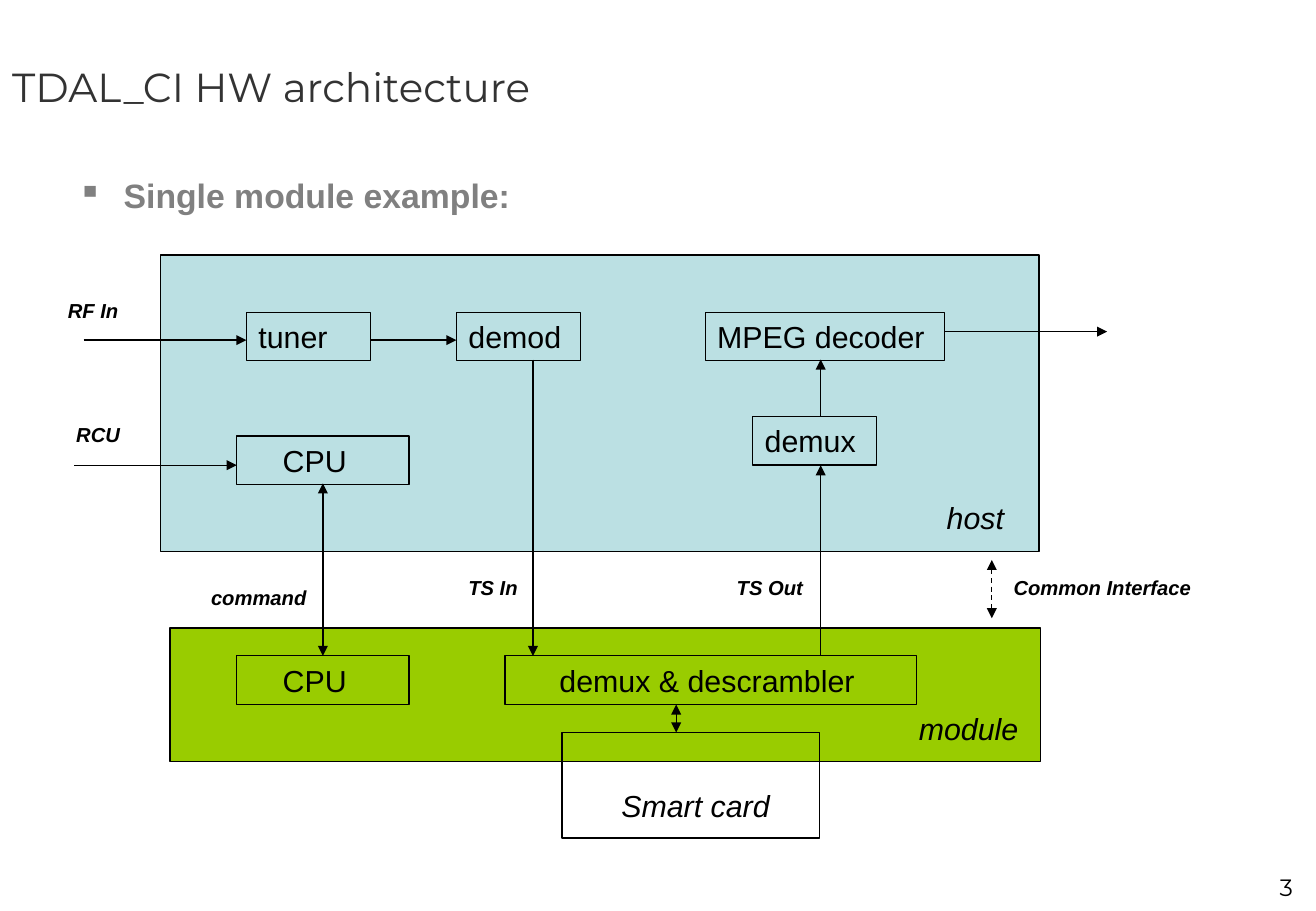
from dataclasses import dataclass

from pptx import Presentation
from pptx.dml.color import RGBColor
from pptx.enum.dml import MSO_LINE
from pptx.enum.shapes import MSO_CONNECTOR, MSO_SHAPE
from pptx.enum.text import MSO_ANCHOR, MSO_AUTO_SIZE, PP_ALIGN
from pptx.oxml.ns import qn
from pptx.util import Inches, Pt
from lxml import etree

RECT = MSO_SHAPE.RECTANGLE
STRAIGHT = MSO_CONNECTOR.STRAIGHT
DASH = MSO_LINE.DASH
LEFT, RIGHT = PP_ALIGN.LEFT, PP_ALIGN.RIGHT
TOP, MIDDLE = MSO_ANCHOR.TOP, MSO_ANCHOR.MIDDLE
NO_FIT = MSO_AUTO_SIZE.NONE


@dataclass(frozen=True)
class Theme:
    ink: str = "000000"
    title: str = "333333"
    heading: str = "808080"
    host: str = "BBE0E3"
    module: str = "99CC00"
    heading_font: str = "Montserrat"
    body_font: str = "Arial"
    title_size: int = 24
    heading_size: int = 20
    block_size: int = 18
    number_size: int = 14
    label_size: int = 12
    line_width: float = 0.75


class Diagram:
    def __init__(self, slide, theme):
        self.s = slide
        self.theme = theme

    def set_text(self, sp, text, size, color=None, font=None, align=LEFT,
                 anchor=TOP, indent=0, **style):
        tf = sp.text_frame
        frame = {"word_wrap": True, "auto_size": NO_FIT, "vertical_anchor": anchor,
                 "margin_left": Inches(0.1), "margin_right": Inches(0.1),
                 "margin_top": Inches(0.05), "margin_bottom": Inches(0.05)}
        for name, value in frame.items():
            setattr(tf, name, value)
        p = tf.paragraphs[0]
        p.alignment = align
        if indent:
            p._p.get_or_add_pPr().set("marL", str(Inches(indent)))
        r = p.add_run()
        r.text = text
        values = {"name": font or self.theme.body_font, "size": Pt(size), **style}
        for name, value in values.items():
            setattr(r.font, name, value)
        r.font.color.rgb = RGBColor.from_string(color or self.theme.ink)
        return p

    def title(self, text, box):
        sp = self.s.shapes.title
        for name, value in zip(("left", "top", "width", "height"), box):
            setattr(sp, name, Inches(value))
        self.set_text(sp, text, self.theme.title_size, self.theme.title,
                      self.theme.heading_font, anchor=MIDDLE)

    def text(self, text, box, size, **style):
        sp = self.s.shapes.add_textbox(*map(Inches, box))
        return self.set_text(sp, text, size, **style)

    def bullet(self, text, box):
        p = self.text(text, box, self.theme.heading_size,
                      color=self.theme.heading, indent=0.38, bold=True)
        pPr = p._p.get_or_add_pPr()
        pPr.set("indent", str(Inches(-0.38)))
        color = etree.SubElement(pPr, qn("a:buClr"))
        etree.SubElement(color, qn("a:srgbClr"), val=self.theme.heading)
        etree.SubElement(pPr, qn("a:buChar"), char="▪")

    def label(self, text, box):
        self.text(text, box, self.theme.label_size, bold=True, italic=True)

    def block(self, box, text=None, fill=None, indent=0):
        sp = self.s.shapes.add_shape(RECT, *map(Inches, box))
        sp.shadow.inherit = False
        if fill:
            sp.fill.solid()
            sp.fill.fore_color.rgb = RGBColor.from_string(fill)
        else:
            sp.fill.background()
        self.outline(sp.line)
        if text:
            self.set_text(sp, text, self.theme.block_size, indent=indent)

    def outline(self, line):
        line.color.rgb = RGBColor.from_string(self.theme.ink)
        line.width = Pt(self.theme.line_width)

    def arrow(self, start, end, both=False, dash=None):
        c = self.s.shapes.add_connector(STRAIGHT, *map(Inches, start + end))
        self.outline(c.line)
        if dash:
            c.line.dash_style = dash
        ln = c._element.spPr.find(qn("a:ln"))
        for tag in ("a:headEnd", "a:tailEnd") if both else ("a:tailEnd",):
            etree.SubElement(ln, qn(tag), type="triangle")
        etree.SubElement(c._element.spPr, qn("a:effectLst"))


def main():
    prs = Presentation()
    prs.slide_width, prs.slide_height = Inches(10.84), Inches(7.5)
    theme = Theme()
    d = Diagram(prs.slides.add_slide(prs.slide_layouts[5]), theme)

    # Title and heading
    d.title("TDAL_CI HW architecture", (0, 0, 10.83, 1.42))
    d.bullet("Single module example:", (0.54, 1.39, 9.75, 0.5))

    # Module and host areas, smart card
    d.block((1.4, 5.17, 7.17, 1.1), fill=theme.module)
    d.block((1.32, 2.1, 7.24, 2.44), fill=theme.host)
    d.block((4.63, 6.03, 2.12, 0.87))

    # Functional blocks: name, left, top, width, text indent
    block_height = 0.4
    for name, x, y, w, indent in (
            ("tuner", 2.03, 2.57, 1.02, 0),
            ("demod", 3.76, 2.57, 1.02, 0),
            ("MPEG decoder", 5.81, 2.57, 1.97, 0),
            ("demux", 6.2, 3.43, 1.02, 0),
            ("CPU", 1.95, 3.59, 1.42, 0.28),
            ("CPU", 1.95, 5.4, 1.42, 0.28),
            ("demux & descrambler", 4.16, 5.4, 3.39, 0.35)):
        d.block((x, y, w, block_height), name, indent=indent)

    # Area names
    for name, x, y, w in (("host", 7.7, 4.06, 0.79),
                          ("module", 7.47, 5.8, 1.02),
                          ("Smart card", 5.02, 6.43, 1.57)):
        d.text(name, (x, y, w, block_height), theme.block_size, italic=True)

    # One-way signals
    for start, end in (((0.69, 2.8), (2.03, 2.8)),
                       ((3.06, 2.8), (3.76, 2.8)),
                       ((4.39, 2.96), (4.39, 5.4)),
                       ((6.76, 5.4), (6.76, 3.83)),
                       ((6.76, 3.43), (6.76, 2.96)),
                       ((7.78, 2.73), (9.12, 2.73)),
                       ((0.61, 3.83), (1.95, 3.83))):
        d.arrow(start, end)

    # Two-way links
    for x, top, bottom, dash in ((2.66, 3.98, 5.4, None),
                                 (5.57, 5.8, 6.03, None),
                                 (8.17, 4.61, 5.09, DASH)):
        d.arrow((x, top), (x, bottom), both=True, dash=dash)

    # Signal labels
    for name, x, y, w in (("RF In", 0.46, 2.41, 0.79),
                          ("RCU", 0.53, 3.43, 0.67),
                          ("command", 1.64, 4.77, 1.1),
                          ("TS In", 3.76, 4.69, 0.63),
                          ("TS Out", 5.97, 4.69, 0.79),
                          ("Common Interface", 8.25, 4.69, 1.89)):
        d.label(name, (x, y, w, 0.3))

    # Slide number
    d.text("3", (9.59, 7.14, 1.16, 0.33), theme.number_size,
           font=theme.heading_font, align=RIGHT)

    prs.save("out.pptx")


if __name__ == "__main__":
    main()
